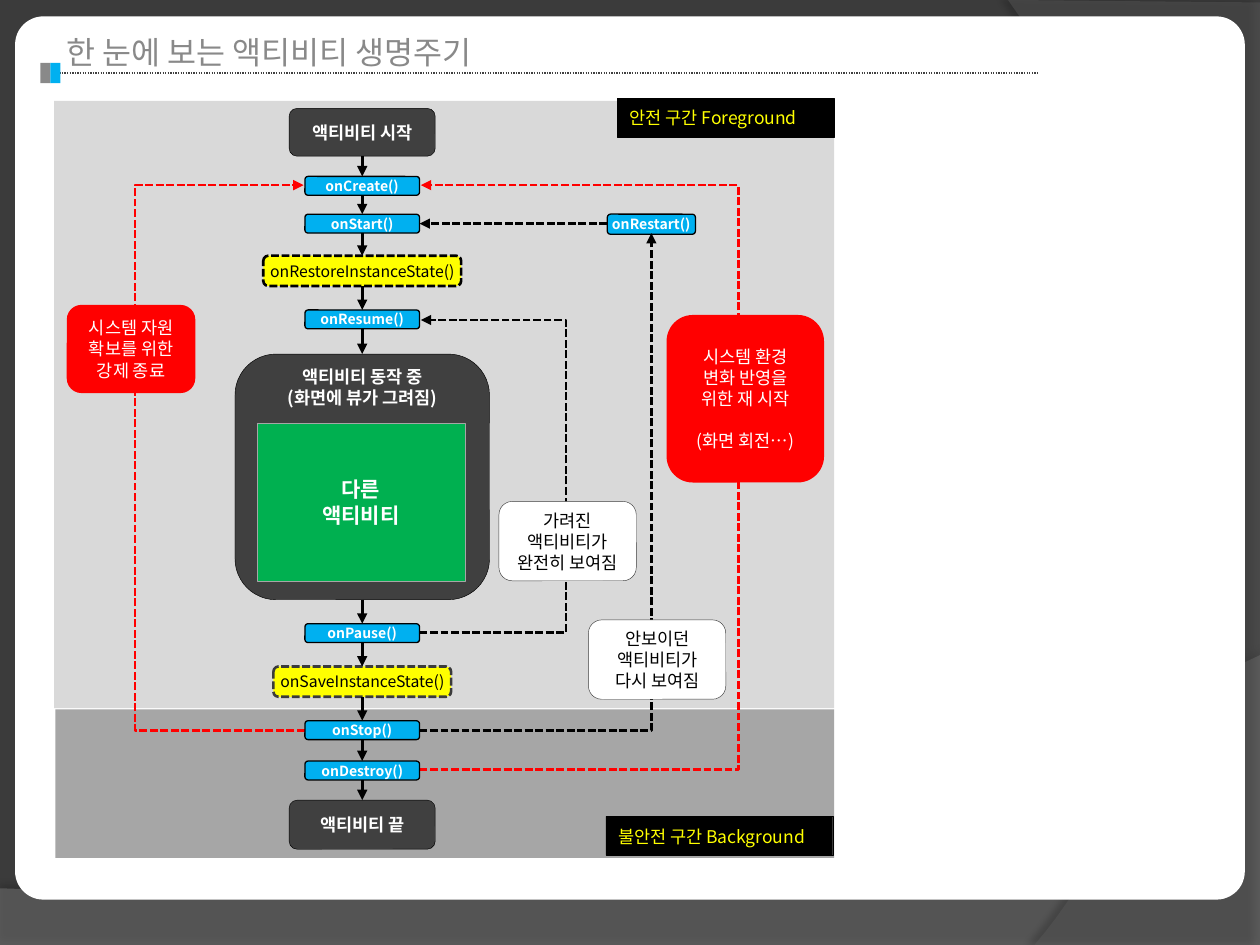
from dataclasses import dataclass, field
from itertools import pairwise

from lxml import etree
from pptx import Presentation, util as u
from pptx.dml.color import RGBColor
from pptx.enum import dml, shapes, text
from pptx.oxml.ns import qn

COLUMNS, ROWS = 100, 75
RECT = shapes.MSO_SHAPE.RECTANGLE
ROUND = shapes.MSO_SHAPE.ROUNDED_RECTANGLE
DASH, DOT = dml.MSO_LINE.SQUARE_DOT, dml.MSO_LINE.ROUND_DOT
CENTER = text.PP_ALIGN.CENTER


@dataclass
class Theme:
    font: str = "Noto Sans CJK KR"
    title_font: str = "Arial"
    backdrop: str = "3B3B3B"
    gray: str = "898989"
    blue: str = "00B0F0"
    red: str = "FF0000"
    black: str = "000000"
    white: str = "FFFFFF"
    safe: str = "D9D9D9"
    unsafe: str = "A6A6A6"
    title_size: int = 18
    styles: dict = field(default_factory=lambda: {
        "zone": dict(fill="000000", line="000000", color="FFFF00", align=None),
        "stage": dict(fill="404040", line="000000", bold=True),
        "call": dict(fill="00B0F0", line="000000", weight=0.75, size=8, bold=True, wrap=False),
        "restore": dict(fill="FFFF00", line="000000", weight=1.5, dash=DASH,
                        size=9, color="000000", wrap=False),
        "save": dict(fill="FFFF00", line="3B3B3B", weight=1.5, dash=DASH,
                     size=9, color="000000", wrap=False),
        "cause": dict(fill="FF0000"),
        "note": dict(fill="FFFFFF", line="3B3B3B", color="000000", inset=0),
        "other": dict(fill="00B050", line="A6A6A6", size=12, bold=True, corner=0),
    })


def apply(target, values):
    for name, value in values.items():
        setattr(target, name, value)


def child(parent, tag, **values):
    return etree.SubElement(parent, qn(tag), {k: str(v) for k, v in values.items()})


def curve(start, first, second, end, steps=40):
    return [tuple((1 - t) ** 3 * a + 3 * (1 - t) ** 2 * t * b + 3 * (1 - t) * t ** 2 * c + t ** 3 * d
                  for a, b, c, d in zip(start, first, second, end))
            for t in (i / steps for i in range(steps + 1))]


class Canvas:
    def __init__(self, deck, theme):
        self.theme = theme
        self.cell = deck.slide_width / COLUMNS
        self.page = deck.slides.add_slide(deck.slide_layouts[5])
        self.paint(self.page.background, theme.backdrop)

    def grid(self, *lengths):
        return [u.Emu(round(n * self.cell)) for n in lengths]

    def paint(self, item, color):
        item.fill.solid()
        item.fill.fore_color.rgb = RGBColor.from_string(color)

    def stroke(self, line, color, weight, dash=None):
        line.color.rgb = RGBColor.from_string(color)
        apply(line, dict(width=u.Pt(weight), dash_style=dash))

    def typeset(self, frame, lines, size, color, bold=False, align=CENTER, font=None):
        for i, words in enumerate(lines):
            para = frame.paragraphs[0] if i == 0 else frame.add_paragraph()
            para.alignment = align
            span = para.add_run()
            span.text = words
            apply(span.font, dict(name=font or self.theme.font, size=u.Pt(size), bold=bold))
            span.font.color.rgb = RGBColor.from_string(color)
            child(span._r.get_or_add_rPr(), "a:ea", typeface=self.theme.font)

    def title(self, words, *place):
        box = self.page.shapes.title
        self.page.shapes._spTree.append(box._element)
        apply(box, dict(zip(("left", "top", "width", "height"), self.grid(*place))))
        apply(box.text_frame, dict(vertical_anchor=text.MSO_ANCHOR.TOP, word_wrap=True))
        self.typeset(box.text_frame, [words], self.theme.title_size, self.theme.gray,
                     align=text.PP_ALIGN.LEFT, font=self.theme.title_font)

    def panel(self, color, *place, kind=RECT, corner=None):
        box = self.page.shapes.add_shape(kind, *self.grid(*place))
        box.shadow.inherit = False
        self.paint(box, color)
        box.line.fill.background()
        if corner is not None:
            box.adjustments[0] = corner
        return box

    def label(self, words, style, *place, kind=ROUND, anchor=text.MSO_ANCHOR.MIDDLE, gap=None):
        look = dict(line=None, weight=0.25, dash=None, size=10, color=self.theme.white,
                    bold=False, align=CENTER, wrap=True, inset=None, corner=0.167)
        look |= self.theme.styles[style]
        box = self.panel(look["fill"], *place, kind=kind,
                         corner=look["corner"] if kind == ROUND else None)
        if look["line"]:
            self.stroke(box.line, look["line"], look["weight"], look["dash"])
        frame = box.text_frame
        apply(frame, dict(vertical_anchor=anchor, word_wrap=look["wrap"]))
        if look["inset"] is not None:
            apply(frame, {f"margin_{side}": look["inset"] for side in ("left", "top", "right", "bottom")})
        if anchor == text.MSO_ANCHOR.TOP:
            frame.margin_top = 0
        self.typeset(frame, words.split("\n"), look["size"], look["color"], look["bold"], look["align"])
        if gap is not None:
            frame.paragraphs[gap].space_before = u.Pt(look["size"] * 1.2)

    def line(self, start, end, color, weight=1.5, dash=None, arrow=True, bend=None, corner=False):
        elbow = bend is not None or corner
        kind = shapes.MSO_CONNECTOR.ELBOW if elbow else shapes.MSO_CONNECTOR.STRAIGHT
        link = self.page.shapes.add_connector(kind, *self.grid(*start, *end))
        self.stroke(link.line, color, weight, dash)
        if arrow:
            child(link.line._get_or_add_ln(), "a:tailEnd", type="triangle")
        child(link._element.spPr, "a:effectLst")
        shape = link._element.spPr.find(qn("a:prstGeom"))
        if corner:
            shape.set("prst", "bentConnector2")
        if bend is not None:
            share = round((bend - start[0]) / (end[0] - start[0]) * 100000)
            child(shape.find(qn("a:avLst")), "a:gd", name="adj1", fmla=f"val {share}")

    def swoosh(self, points, color, alpha, shade, blur, distance, angle):
        first, *rest = [self.grid(*point) for point in points]
        outline = self.page.shapes.build_freeform(*first)
        outline.add_line_segments(rest)
        form = outline.convert_to_shape()
        form.shadow.inherit = False
        self.paint(form, color)
        form.line.fill.background()
        child(form.fill._xPr.find(".//" + qn("a:srgbClr")), "a:alpha", val=alpha * 1000)
        shadow = child(form._element.spPr.find(qn("a:effectLst")), "a:outerShdw", blurRad=u.Pt(blur),
                       dist=u.Pt(distance), dir=angle * 60000, rotWithShape=0)
        child(child(shadow, "a:srgbClr", val=self.theme.black), "a:alpha", val=shade * 1000)


def main():
    deck = Presentation()
    apply(deck, dict(slide_width=u.Inches(10), slide_height=u.Inches(7.5)))
    theme = Theme()
    art = Canvas(deck, theme)

    art.swoosh([(0, ROWS), (COLUMNS, ROWS), *curve((100, 52), (55.9, 72.9), (39.1, 71.9), (0, 70.5))],
               "7F7F7F", 45, 35, 4, 3.5, 270)
    art.swoosh([(COLUMNS, 0.2), (COLUMNS, ROWS), *curve((82.1, 75), (93.5, 61.9), (101.8, 30), (80, 0))],
               "5E5E5E", 40, 45, 4, 4, 180)
    art.panel(theme.white, 1.2, 1.3, 97.6, 70.1, kind=ROUND, corner=0.032)

    art.panel(theme.unsafe, 4.4, 56.3, 61.8, 11.8)
    art.label("불안전 구간 Background", "zone", 48.1, 64.8, 18, 3.1, kind=RECT)
    art.panel(theme.safe, 4.3, 8, 61.9, 48.2)
    art.label("안전 구간 Foreground", "zone", 49, 7.8, 17.2, 3.1, kind=RECT)

    art.title("한 눈에 보는 액티비티 생명주기", 4.3, 2.1, 48.8, 4)
    art.line((4.3, 5.8), (82.3, 5.8), "404040", 0.75, DOT, arrow=False)
    for left, color in ((3.2, theme.gray), (4, theme.blue)):
        art.panel(color, left, 5, 0.8, 1.6)

    west, east, sliver = 24.2, 33.3, 0.1
    art.line((west, 58), (west - sliver, 14.7), theme.red, dash=DASH, bend=10.5)
    art.label("시스템 자원\n확보를 위한\n강제 종료", "cause", 5.3, 24.2, 10.2, 7)
    art.line((east, 61.1), (east + sliver, 14.7), theme.red, dash=DASH, bend=59)
    art.label("시스템 환경\n변화 반영을\n위한 재 시작\n(화면 회전…)", "cause",
              52.9, 25, 12.5, 13.3, gap=3)
    art.label("onRestart()", "call", 48.2, 17, 7, 1.6)
    art.line((east, 58), (51.7, 18.5), theme.black, dash=DASH, corner=True)
    art.line((48.2, 17.75), (east, 17.75), theme.black, dash=DASH)
    art.label("안보이던\n액티비티가\n다시 보여짐", "note", 46.7, 49.2, 10.9, 6.3)
    art.line((east, 50.2), (east + sliver, 25.4), theme.black, dash=DASH, bend=45.1)
    art.label("가려진\n액티비티가\n완전히 보여짐", "note", 39.6, 39.8, 10.9, 6.3)

    axis = 28.75
    top, middle = text.MSO_ANCHOR.TOP, text.MSO_ANCHOR.MIDDLE
    steps = [
        ("액티비티 시작", "stage", 8.6, 11.6, 3.8),
        ("onCreate()", "call", 14, 9.1, 1.5),
        ("onStart()", "call", 17, 9.1, 1.5),
        ("onRestoreInstanceState()", "restore", 20.3, 15.7, 2.4),
        ("onResume()", "call", 24.6, 9.1, 1.5),
        ("액티비티 동작 중\n(화면에 뷰가 그려짐)", "stage", 28.1, 20.2, 19.5),
        ("onPause()", "call", 49.5, 9.1, 1.5),
        ("onSaveInstanceState()", "save", 52.9, 14.1, 2.4),
        ("onStop()", "call", 57.2, 9.1, 1.5),
        ("onDestroy()", "call", 60.4, 9.1, 1.5),
        ("액티비티 끝", "stage", 63.5, 11.6, 3.9),
    ]
    for words, style, row, width, height in steps:
        art.label(words, style, axis - width / 2, row, width, height,
                  anchor=top if "\n" in words else middle)
    for (*_, row, _, height), (_, _, target, *_) in pairwise(steps):
        art.line((axis, row + height), (axis, target), theme.black)
    art.label("다른\n액티비티", "other", 20.4, 33.6, 16.5, 12.5)

    deck.save("out.pptx")


if __name__ == "__main__":
    main()
